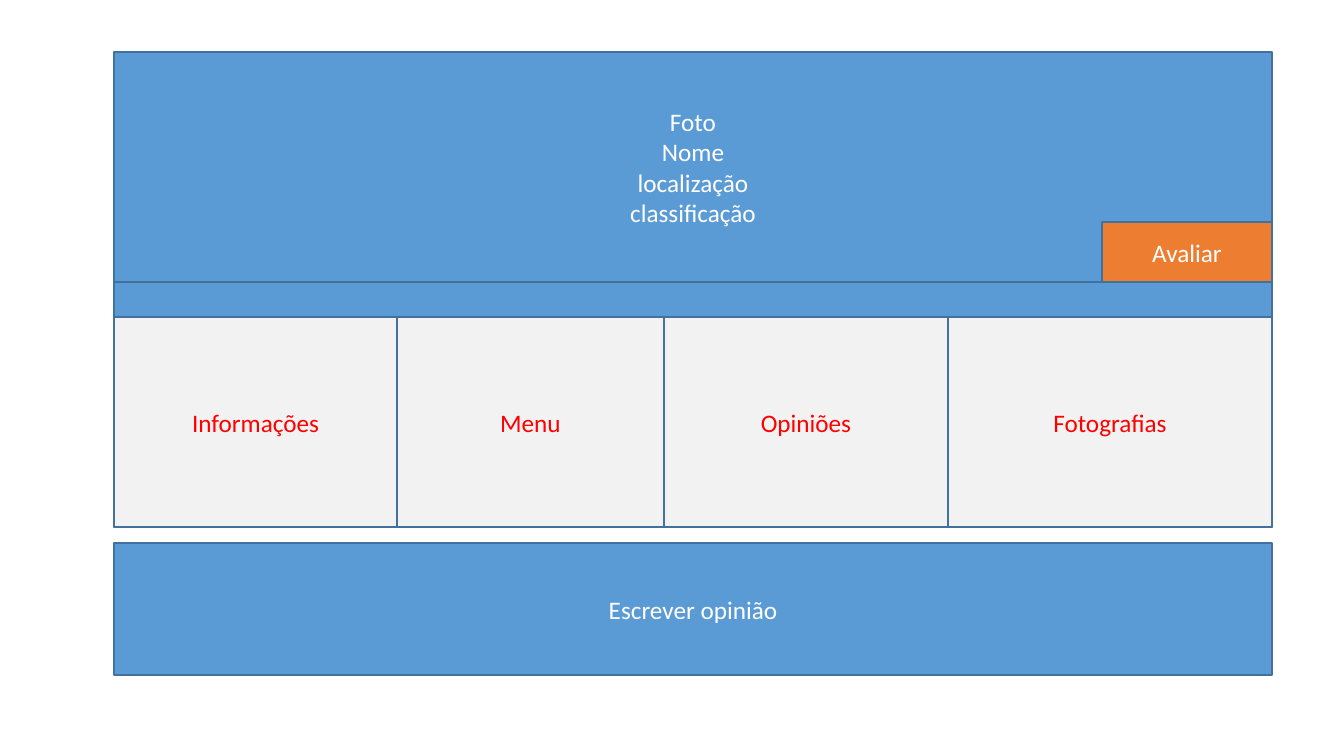
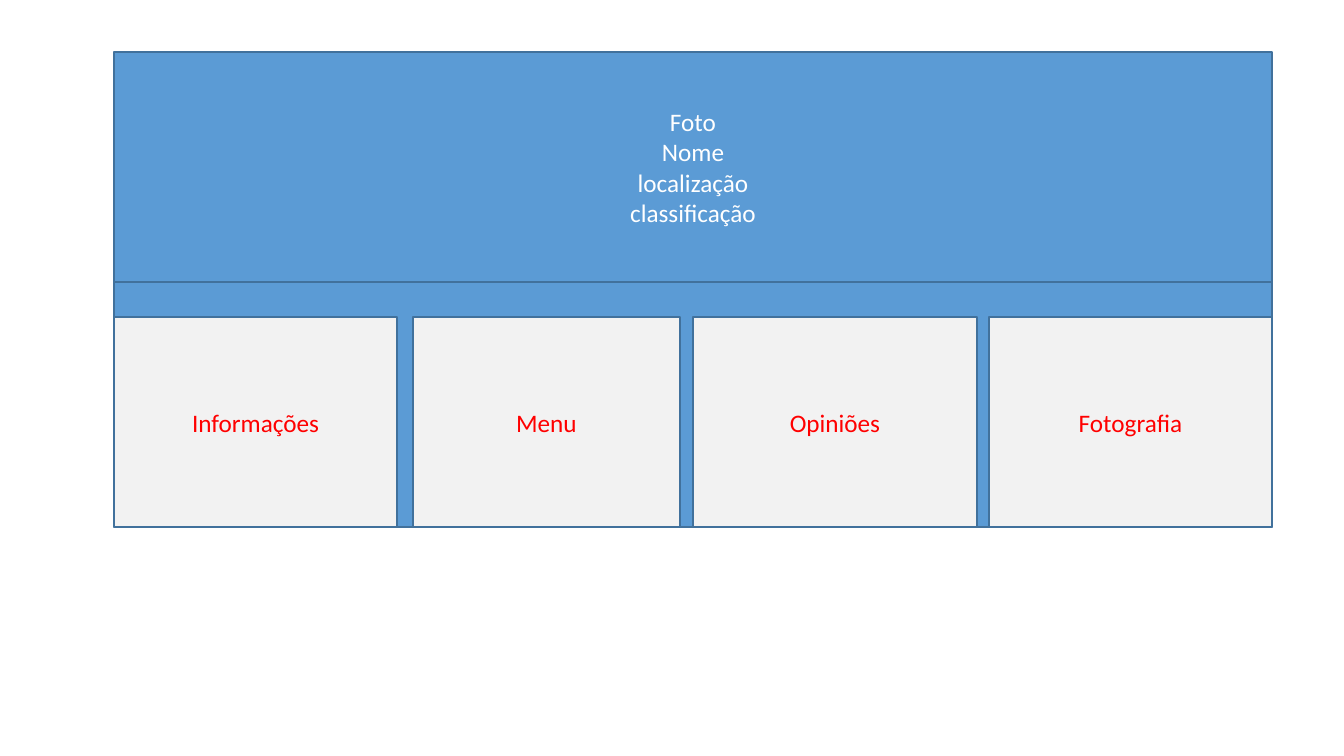
from pptx import Presentation
from pptx import util as u
from pptx.dml import color
from pptx.enum import shapes, text

PX_PER_INCH = 100.8
COLORS = {
    "panel": "5B9BD5",
    "border": "41719C",
    "tab": "F2F2F2",
    "tab_text": "FF0000",
    "action": "ED7D31",
    "light_text": "FFFFFF",
}
LEFT, RIGHT = 114, 1272
HEADER_TOP, BODY_TOP, TABS_TOP, BODY_BOTTOM = 52, 282, 317, 527


def px(length):
    return u.Inches(length / PX_PER_INCH)


def rgb(name):
    return color.RGBColor.from_string(COLORS[name])


def write(frame, content, ink="light_text", size=18, font="Calibri"):
    frame.word_wrap = True
    frame.vertical_anchor = text.MSO_ANCHOR.MIDDLE
    frame.text = content
    for paragraph in frame.paragraphs:
        paragraph.alignment = text.PP_ALIGN.CENTER
        paragraph.font.size = u.Pt(size)
        paragraph.font.name = font
        paragraph.font.color.rgb = rgb(ink)


class Wireframe:
    def __init__(self):
        self.deck = Presentation()
        self.deck.slide_width = px(1344)
        self.deck.slide_height = px(756)
        self.slide = None

    def new_slide(self):
        self.slide = self.deck.slides.add_slide(self.deck.slide_layouts[6])

    def box(self, left, top, right, bottom, content="", fill="panel", **style):
        area = self.slide.shapes.add_shape(
            shapes.MSO_SHAPE.RECTANGLE,
            px(left), px(top), px(right - left), px(bottom - top))
        area.shadow.inherit = False
        area.fill.solid()
        area.fill.fore_color.rgb = rgb(fill)
        area.line.color.rgb = rgb("border")
        area.line.width = u.Pt(1)
        if content:
            write(area.text_frame, content, **style)

    def band(self, top, bottom, content=""):
        self.box(LEFT, top, RIGHT, bottom, content)

    def tabs(self, tabs):
        for label, left, right in tabs:
            self.box(left, TABS_TOP, right, BODY_BOTTOM, label,
                     fill="tab", ink="tab_text")

    def place_page(self, tabs):
        self.new_slide()
        self.band(HEADER_TOP, BODY_TOP, "Foto\nNome\nlocalização\nclassificação")
        self.band(BODY_TOP, BODY_BOTTOM)
        self.tabs(tabs)


def main():
    page = Wireframe()

    page.place_page([
        ("Informações", LEFT, 397),
        ("Menu", 397, 664),
        ("Opiniões", 664, 948),
        ("Fotografias", 948, RIGHT),
    ])
    page.box(1102, 222, RIGHT, BODY_TOP, "Avaliar", fill="action")
    page.band(543, 675, "Escrever opinião")

    page.place_page([
        ("Informações", LEFT, 397),
        ("Menu", 413, 680),
        ("Opiniões", 693, 977),
        ("Fotografia", 989, RIGHT),
    ])

    page.deck.save("out.pptx")


if __name__ == "__main__":
    main()
